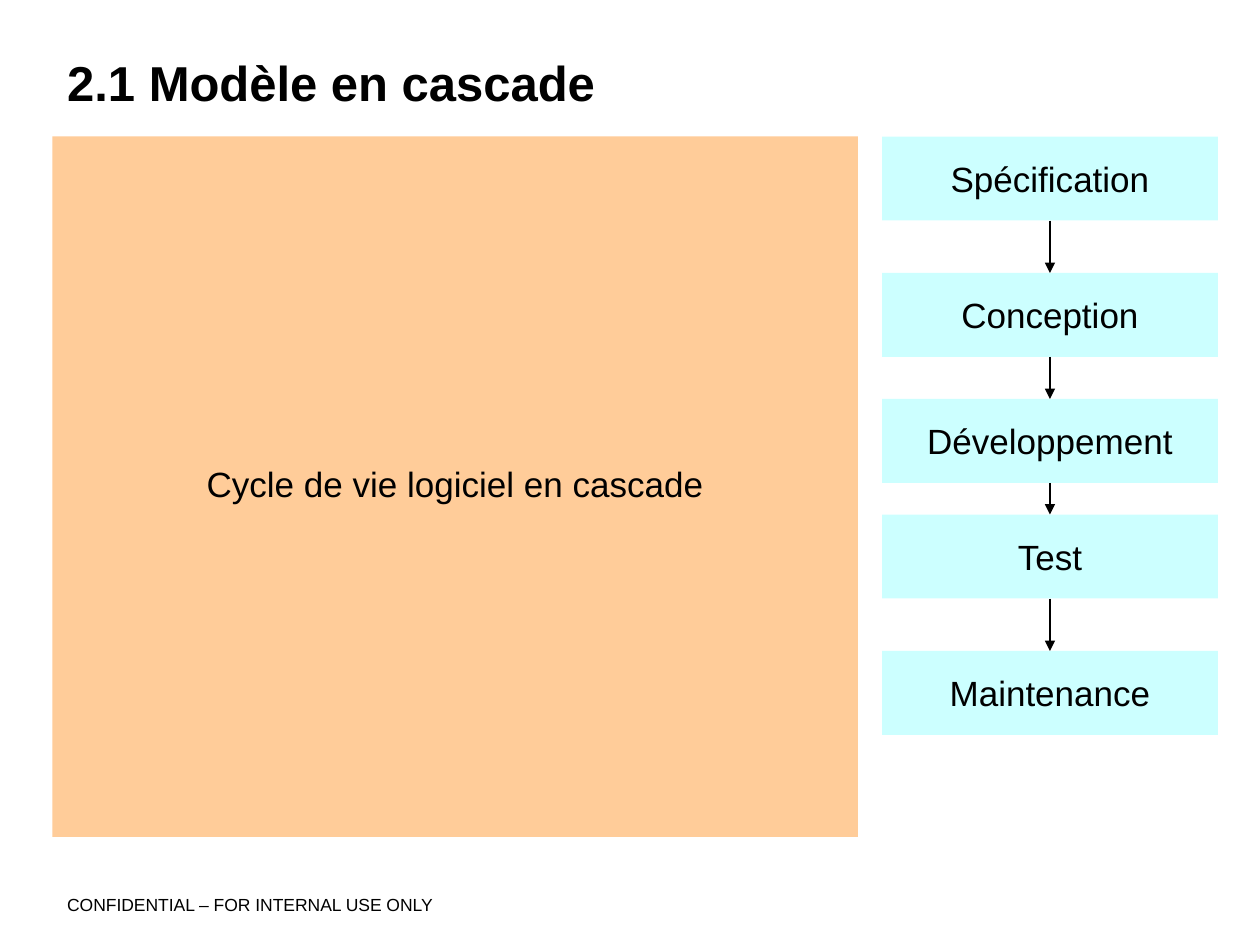
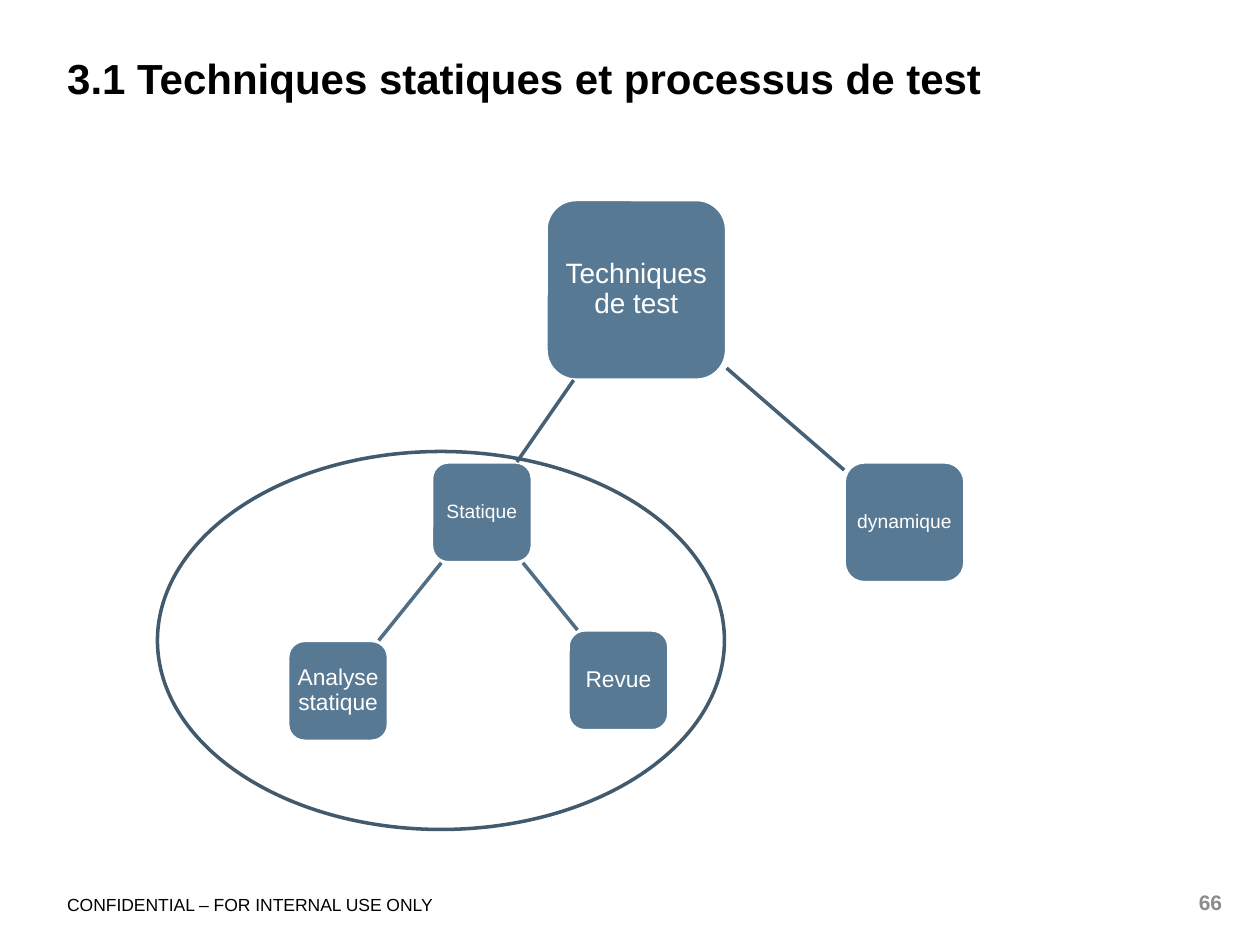
from dataclasses import dataclass
from itertools import pairwise
from lxml import etree
from pptx import Presentation
from pptx.dml.color import RGBColor
from pptx.enum.shapes import MSO_CONNECTOR, MSO_SHAPE
from pptx.enum.text import MSO_ANCHOR, MSO_AUTO_SIZE, PP_ALIGN
from pptx.oxml.ns import qn
from pptx.util import Inches, Pt


@dataclass(frozen=True)
class Theme:
    font: str = "Arial"
    ink: str = "000000"
    paper: str = "FFFFFF"
    step: str = "CCFFFF"
    panel: str = "FFCC99"
    node: str = "587993"
    link: str = "466176"
    sublink: str = "506E85"
    ring: str = "415A6D"
    muted: str = "8C8C8C"
    footer_size: int = 10
    number_size: int = 12
    box_size: int = 20
    thin: float = 0.75
    thick: float = 2


T = Theme()
COLS, ROWS = 120, 90
LEFT = 6.4
TITLE_BOX = (LEFT, 4.4, 110, 7.1)
FOOTER_BOX = (LEFT, 85.1, 53, 2.4)
NUMBER_BOX = (111.7, 84.7, 4.7, 2.4)

prs = Presentation()
prs.slide_width, prs.slide_height = Inches(10), Inches(7.5)
CELL_W, CELL_H = prs.slide_width / COLS, prs.slide_height / ROWS


def emu(box):
    x, y, w, h = box
    return round(x * CELL_W), round(y * CELL_H), round(w * CELL_W), round(h * CELL_H)


def write(sp, text, size, color=T.ink, bold=False, align=PP_ALIGN.LEFT,
          anchor=MSO_ANCHOR.TOP, inset=0, spacing=1.0):
    tf = sp.text_frame
    tf.word_wrap = True
    tf.auto_size = MSO_AUTO_SIZE.NONE
    tf.vertical_anchor = anchor
    tf.margin_left = tf.margin_right = tf.margin_top = tf.margin_bottom = Inches(inset)
    p = tf.paragraphs[0]
    p.alignment = align
    p.line_spacing = spacing
    r = p.add_run()
    r.text = text
    r.font.name, r.font.size, r.font.bold = T.font, Pt(size), bold
    r.font.color.rgb = RGBColor.from_string(color)


def add_text(s, box, text, size, **style):
    write(s.shapes.add_textbox(*emu(box)), text, size, **style)


def add_shape(s, kind, box, fill=None, line=None):
    sp = s.shapes.add_shape(kind, *emu(box))
    sp.shadow.inherit = False
    if fill:
        sp.fill.solid()
        sp.fill.fore_color.rgb = RGBColor.from_string(fill)
    else:
        sp.fill.background()
    if line:
        sp.line.color.rgb = RGBColor.from_string(line)
        sp.line.width = Pt(T.thick)
    else:
        sp.line.fill.background()
    return sp


def add_line(s, start, end, color, width, arrow=False):
    x1, y1, x2, y2 = emu((*start, *end))
    c = s.shapes.add_connector(MSO_CONNECTOR.STRAIGHT, x1, y1, x2, y2)
    c.line.color.rgb = RGBColor.from_string(color)
    c.line.width = Pt(width)
    if arrow:
        etree.SubElement(c.line._get_or_add_ln(), qn("a:tailEnd"), type="triangle")
    etree.SubElement(c._element.spPr, qn("a:effectLst"))


def add_slide(title, size, number=None):
    s = prs.slides.add_slide(prs.slide_layouts[5])
    sp = s.shapes.title
    sp.left, sp.top, sp.width, sp.height = emu(TITLE_BOX)
    write(sp, title, size, bold=True)
    sp.text_frame.margin_top = Inches(0.05)
    add_text(s, FOOTER_BOX, "CONFIDENTIAL – FOR INTERNAL USE ONLY", T.footer_size)
    if number:
        add_text(s, NUMBER_BOX, number, T.number_size, color=T.muted, bold=True,
                 align=PP_ALIGN.RIGHT)
    return s


def labelled_box(s, box, text, fill, spacing=1.0):
    sp = add_shape(s, MSO_SHAPE.RECTANGLE, box, fill)
    write(sp, text, T.box_size, align=PP_ALIGN.CENTER, anchor=MSO_ANCHOR.MIDDLE,
          spacing=spacing)


def cascade(s, box, steps, step_h=8):
    x, y, w, _ = box
    for label, row in steps:
        labelled_box(s, (x, y + row, w, step_h), label, T.step)
    for (_, upper), (_, lower) in pairwise(steps):
        add_line(s, (x + w / 2, y + upper + step_h), (x + w / 2, y + lower),
                 T.ink, T.thin, arrow=True)


def edge_point(node, other):
    x, y, side = node
    dx, dy = other[0] - x, other[1] - y
    share = side / 2 / max(abs(dx), abs(dy))
    return x + dx * share, y + dy * share


def tree(s, box, nodes, links):
    x, y, _, _ = box
    centres = {}
    for label, (col, row, side, size, inset) in nodes.items():
        sp = add_shape(s, MSO_SHAPE.ROUNDED_RECTANGLE,
                       (x + col, y + row, side, side), T.node, T.paper)
        write(sp, label, size, color=T.paper, align=PP_ALIGN.CENTER,
              anchor=MSO_ANCHOR.MIDDLE, inset=inset, spacing=0.9)
        centres[label] = (x + col + side / 2, y + row + side / 2, side)
    for parent, child, color in links:
        a, b = centres[parent], centres[child]
        add_line(s, edge_point(a, b), edge_point(b, a), color, T.thick)


def waterfall_slide():
    s = add_slide("2.1 Modèle en cascade", 28)
    cascade(s, (84, 13, 32, 57), [
        ("Spécification", 0), ("Conception", 13), ("Développement", 25),
        ("Test", 36), ("Maintenance", 49)])
    labelled_box(s, (5, 13, 76.7, 66.7), "Cycle de vie logiciel en cascade",
                 T.panel, spacing=0.9)


def techniques_slide():
    s = add_slide("3.1 Techniques statiques et processus de test", 24, "66")
    root, static, dynamic = "Techniques de test", "Statique", "dynamique"
    analysis, review = "Analyse statique", "Revue"
    tree(s, (27.4, 19, 64.6, 51.6), {
        root: (24.6, 0, 17.2, 16, 0.04),
        static: (13.7, 25, 9.6, 11, 0.03),
        analysis: (0, 42, 9.6, 13, 0.04),
        review: (26.7, 41, 9.6, 13, 0.04),
        dynamic: (53, 25, 11.5, 11, 0.03),
    }, [(root, dynamic, T.link), (root, static, T.link),
        (static, analysis, T.sublink), (static, review, T.sublink)])
    add_shape(s, MSO_SHAPE.OVAL, (15, 43, 54, 36), line=T.ring)


waterfall_slide()
techniques_slide()
prs.save("out.pptx")
